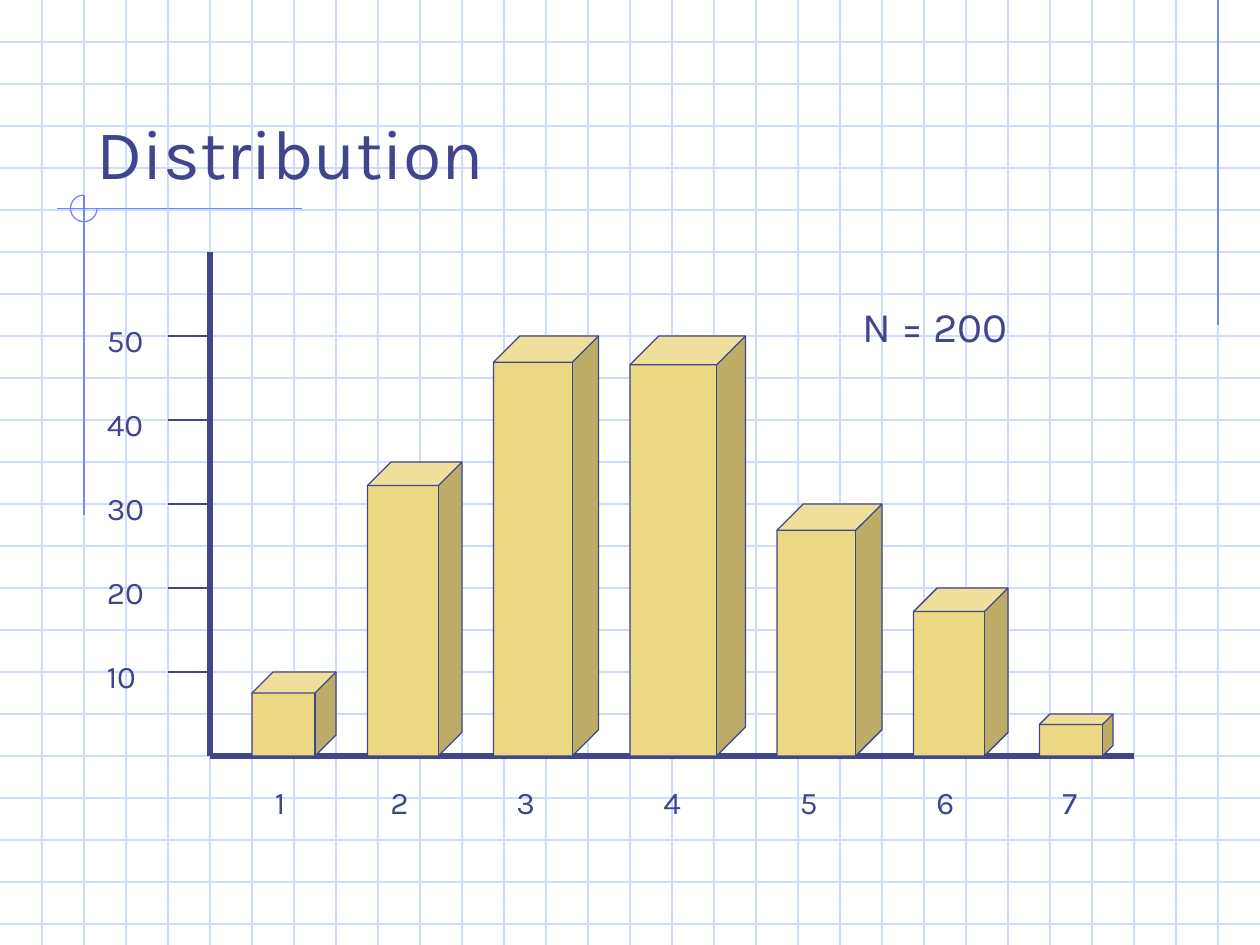
"""Draw a hand-built distribution bar chart on graph paper."""
from dataclasses import dataclass

from pptx import Presentation
from pptx.dml.color import RGBColor as Rgb
from pptx.enum.shapes import MSO_CONNECTOR as Connector, MSO_SHAPE as Preset
from pptx.enum.text import MSO_ANCHOR as Anchor, MSO_AUTO_SIZE as AutoSize
from pptx.oxml.ns import qn
from pptx.shapes.autoshape import Shape
from pptx.slide import Slide
from pptx.util import Pt


@dataclass(frozen=True)
class Theme:
    font: str = "Karla"
    ink: Rgb = Rgb(0x40, 0x45, 0x8C)
    grid: Rgb = Rgb(0xCF, 0xDB, 0xFD)
    accent: Rgb = Rgb(0x6F, 0x89, 0xF7)
    bar: Rgb = Rgb(0xEC, 0xD8, 0x82)
    title_size: float = 40
    note_size: float = 24
    label_size: float = 18
    thin: float = 0.75
    thick: float = 3


@dataclass(frozen=True)
class Line:
    x1: float
    y1: float
    x2: float
    y2: float
    color: Rgb
    weight: float = 0.75


@dataclass(frozen=True)
class Bar:
    label: str
    value: int
    left: float
    width: float
    label_offset: float = 6


THEME = Theme()
WIDTH, HEIGHT = 720, 540
CELL = 24
AXIS_X, BASE_Y = 5 * CELL, 18 * CELL
POINTS_PER_UNIT = 4.8
LABEL_WIDTH, LABEL_HEIGHT = 36, 28.8

BARS = [
    Bar("1", 10, 144, 48),
    Bar("2", 35, 210, 54),
    Bar("3", 50, 282, 60),
    Bar("4", 50, 360, 66, 12),
    Bar("5", 30, 444, 60),
    Bar("6", 20, 522, 54),
    Bar("7", 5, 594, 42),
]


def draw_line(slide: Slide, line: Line) -> None:
    connector = slide.shapes.add_connector(
        Connector.STRAIGHT, Pt(line.x1), Pt(line.y1), Pt(line.x2), Pt(line.y2))
    connector.line.color.rgb = line.color
    connector.line.width = Pt(line.weight)
    properties = connector._element.spPr
    properties.append(properties.makeelement(qn("a:effectLst"), {}))


def draw_text(slide: Slide, text: str, left: float, top: float,
              width: float, height: float, size: float) -> Shape:
    box = slide.shapes.add_textbox(Pt(left), Pt(top), Pt(width), Pt(height))
    frame = box.text_frame
    frame.word_wrap = True
    frame.auto_size = AutoSize.SHAPE_TO_FIT_TEXT
    para = frame.paragraphs[0]
    para.text = text
    para.font.name = THEME.font
    para.font.size = Pt(size)
    para.font.color.rgb = THEME.ink
    return box


def draw_label(slide: Slide, text: str, left: float, top: float) -> None:
    draw_text(slide, text, left, top, LABEL_WIDTH, LABEL_HEIGHT, THEME.label_size)


def draw_preset(slide: Slide, preset: Preset, left: float, top: float,
                width: float, height: float, color: Rgb) -> Shape:
    shape = slide.shapes.add_shape(preset, Pt(left), Pt(top), Pt(width), Pt(height))
    shape.shadow.inherit = False
    shape.line.color.rgb = color
    shape.line.width = Pt(THEME.thin)
    return shape


def draw_paper(slide: Slide) -> None:
    for y in range(CELL, HEIGHT, CELL):
        draw_line(slide, Line(0, y, WIDTH, y, THEME.grid))
    for x in range(CELL, WIDTH, CELL):
        draw_line(slide, Line(x, 0, x, HEIGHT, THEME.grid))
    for line in (
        Line(696, 0, 696, 186, THEME.accent),
        Line(172.8, 119.3, 32.6, 119.3, THEME.accent),
        Line(48, 111.5, 48, 294.5, THEME.accent),
    ):
        draw_line(slide, line)
    arc = draw_preset(slide, Preset.ARC, 40.3, 111.5, 15.2, 15.2, THEME.accent)
    arc.adjustments[0], arc.adjustments[1] = 0, 162
    arc.fill.background()


def draw_axes(slide: Slide) -> None:
    draw_line(slide, Line(AXIS_X, 6 * CELL, AXIS_X, BASE_Y, THEME.ink, THEME.thick))
    draw_line(slide, Line(AXIS_X, BASE_Y, 27 * CELL, BASE_Y, THEME.ink, THEME.thick))
    for value in range(10, 60, 10):
        y = BASE_Y - value * POINTS_PER_UNIT
        draw_line(slide, Line(AXIS_X - CELL, y, AXIS_X, y, THEME.ink))
        draw_label(slide, str(value), 54, y - 12)


def draw_bar(slide: Slide, bar: Bar) -> None:
    height = bar.value * POINTS_PER_UNIT
    cube = draw_preset(slide, Preset.CUBE, bar.left, BASE_Y - height,
                       bar.width, height, THEME.ink)
    cube.adjustments[0] = 0.25
    cube.fill.solid()
    cube.fill.fore_color.rgb = THEME.bar
    draw_label(slide, bar.label, bar.left + bar.label_offset, BASE_Y + 12)


def main() -> None:
    deck = Presentation()
    deck.slide_width, deck.slide_height = Pt(WIDTH), Pt(HEIGHT)
    page = deck.slides.add_slide(deck.slide_layouts[6])
    draw_paper(page)
    title = draw_text(page, "Distribution", 48, 24, 612, 90, THEME.title_size)
    title.text_frame.auto_size = AutoSize.NONE
    title.text_frame.vertical_anchor = Anchor.BOTTOM
    draw_axes(page)
    for bar in BARS:
        draw_bar(page, bar)
    draw_text(page, "N = 200", 486, 168, 114, 36, THEME.note_size)
    deck.save("out.pptx")


if __name__ == "__main__":
    main()
